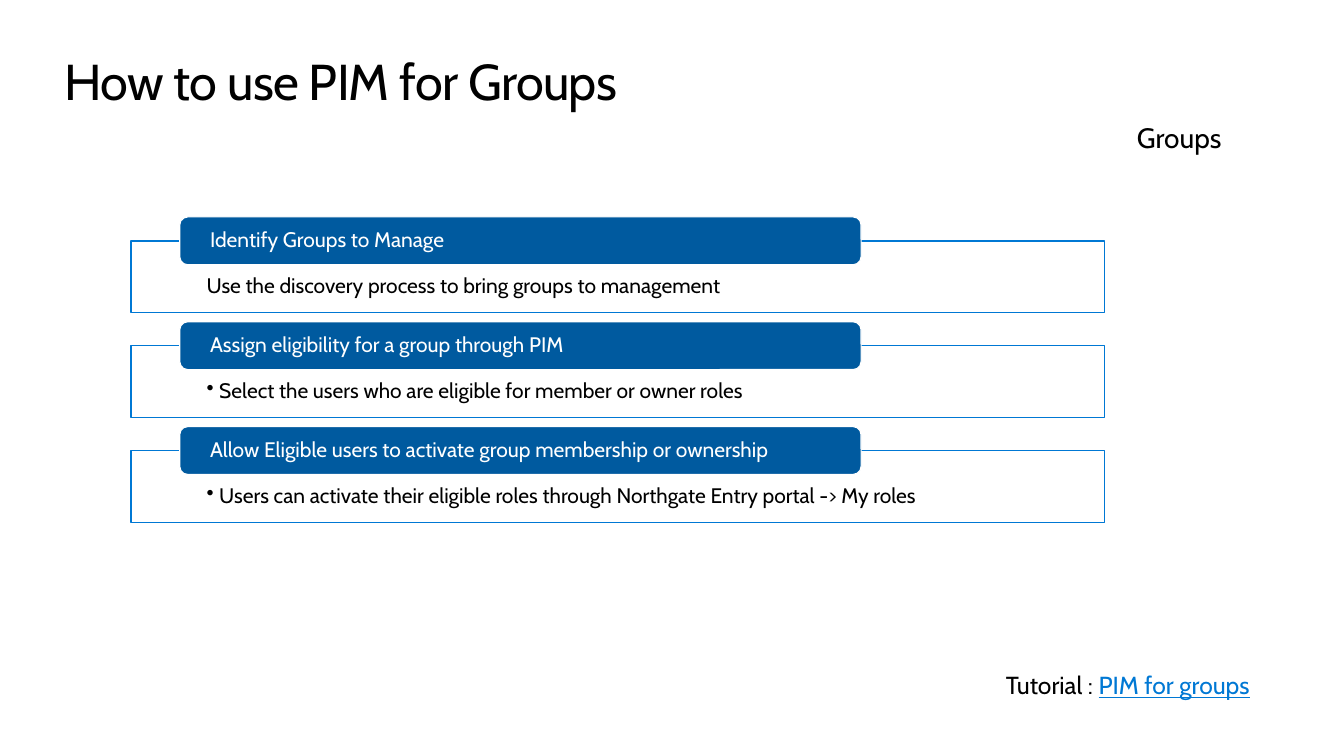
from pptx import Presentation
from pptx.dml.color import RGBColor
from pptx.enum import shapes, text
from pptx.oxml.xmlchemy import OxmlElement
from pptx.util import Pt

TITLE = "How to use PIM for Groups"
TOPIC = "Groups"
STEPS = [
    ("Identify Groups to Manage",
     "Use the discovery process to bring groups to management", False),
    ("Assign eligibility for a group through PIM",
     "Select the users who are eligible for member or owner roles", True),
    ("Allow Eligible users to activate group membership or ownership",
     "Users can activate their eligible roles through Northgate Entry portal -> My roles", True),
]
TUTORIAL = ("Tutorial : ", "PIM for groups")

FONT = "Cabin"
COLORS = {"black": "000000", "white": "FFFFFF", "header": "005A9F", "accent": "0078D4"}
DETAIL_BOX = (93.6, 172.1, 695.5, 51.1)
HEADER_BOX = (128.4, 154.9, 486.7, 34.2)
STEP_PITCH = 74.9


def color(name):
    return RGBColor.from_string(COLORS[name])


def add_run(paragraph, words, size, ink):
    run = paragraph.add_run()
    run.text = words
    run.font.name = FONT
    run.font.size = Pt(size)
    run.font.color.rgb = color(ink)
    return run


def set_frame(frame, insets, anchor):
    frame.word_wrap = True
    frame.auto_size = text.MSO_AUTO_SIZE.NONE
    frame.vertical_anchor = anchor
    frame.margin_left, frame.margin_top, frame.margin_right, frame.margin_bottom = map(Pt, insets)
    paragraph = frame.paragraphs[0]
    paragraph.alignment = text.PP_ALIGN.LEFT
    return paragraph


def add_panel(slide, preset, box, fill, line, insets, anchor):
    panel = slide.shapes.add_shape(preset, *map(Pt, box))
    panel.shadow.inherit = False
    panel.fill.solid()
    panel.fill.fore_color.rgb = color(fill)
    panel.line.color.rgb = color(line)
    panel.line.width = Pt(0.85)
    paragraph = set_frame(panel.text_frame, insets, anchor)
    paragraph.line_spacing = 0.9
    return panel, paragraph


def set_indent(paragraph, left, first, bullet=False):
    properties = paragraph._p.get_or_add_pPr()
    properties.set("marL", str(Pt(left)))
    properties.set("indent", str(Pt(first)))
    if bullet:
        mark = OxmlElement("a:buChar")
        mark.set("char", "•")
        properties.append(mark)


def add_step(slide, index, heading, detail, bullet):
    shift = index * STEP_PITCH
    left, top, width, height = DETAIL_BOX
    detail_panel, paragraph = add_panel(
        slide, shapes.MSO_SHAPE.RECTANGLE, (left, top + shift, width, height),
        "white", "accent", (54, 24.5, 54, 8.6), text.MSO_ANCHOR.TOP)
    alpha = OxmlElement("a:alpha")
    alpha.set("val", "90000")
    detail_panel.fill._xPr.solidFill[0].append(alpha)
    set_indent(paragraph, 9, -9, bullet)
    add_run(paragraph, detail, 15, "black")

    left, top, width, height = HEADER_BOX
    _, paragraph = add_panel(
        slide, shapes.MSO_SHAPE.ROUNDED_RECTANGLE, (left, top + shift, width, height),
        "header", "white", (20, 0, 20, 0), text.MSO_ANCHOR.MIDDLE)
    add_run(paragraph, heading, 15, "white")


def add_label(slide, box):
    label = slide.shapes.add_textbox(*map(Pt, box))
    return set_frame(label.text_frame, (7.2, 3.6, 7.2, 3.6), text.MSO_ANCHOR.TOP)


def main():
    deck = Presentation()
    deck.slide_width, deck.slide_height = Pt(960), Pt(540)
    slide = deck.slides.add_slide(deck.slide_layouts[5])

    title = slide.shapes.title
    title.left, title.top, title.width, title.height = map(Pt, (46, 36, 867.6, 44))
    heading = set_frame(title.text_frame, (0, 0, 0, 0), text.MSO_ANCHOR.TOP)
    add_run(heading, TITLE, 36, "black").font._element.set("spc", "-50")

    add_run(add_label(slide, (805, 82.8, 90.7, 32)), TOPIC, 20, "black")

    for index, step in enumerate(STEPS):
        add_step(slide, index, *step)

    tutorial = add_label(slide, (693.4, 475.2, 260, 28.8))
    set_indent(tutorial, 18, 0)
    lead, target = TUTORIAL
    add_run(tutorial, lead, 17.6, "black")
    add_run(tutorial, target, 17.6, "accent").font.underline = True

    deck.save("out.pptx")


if __name__ == "__main__":
    main()
